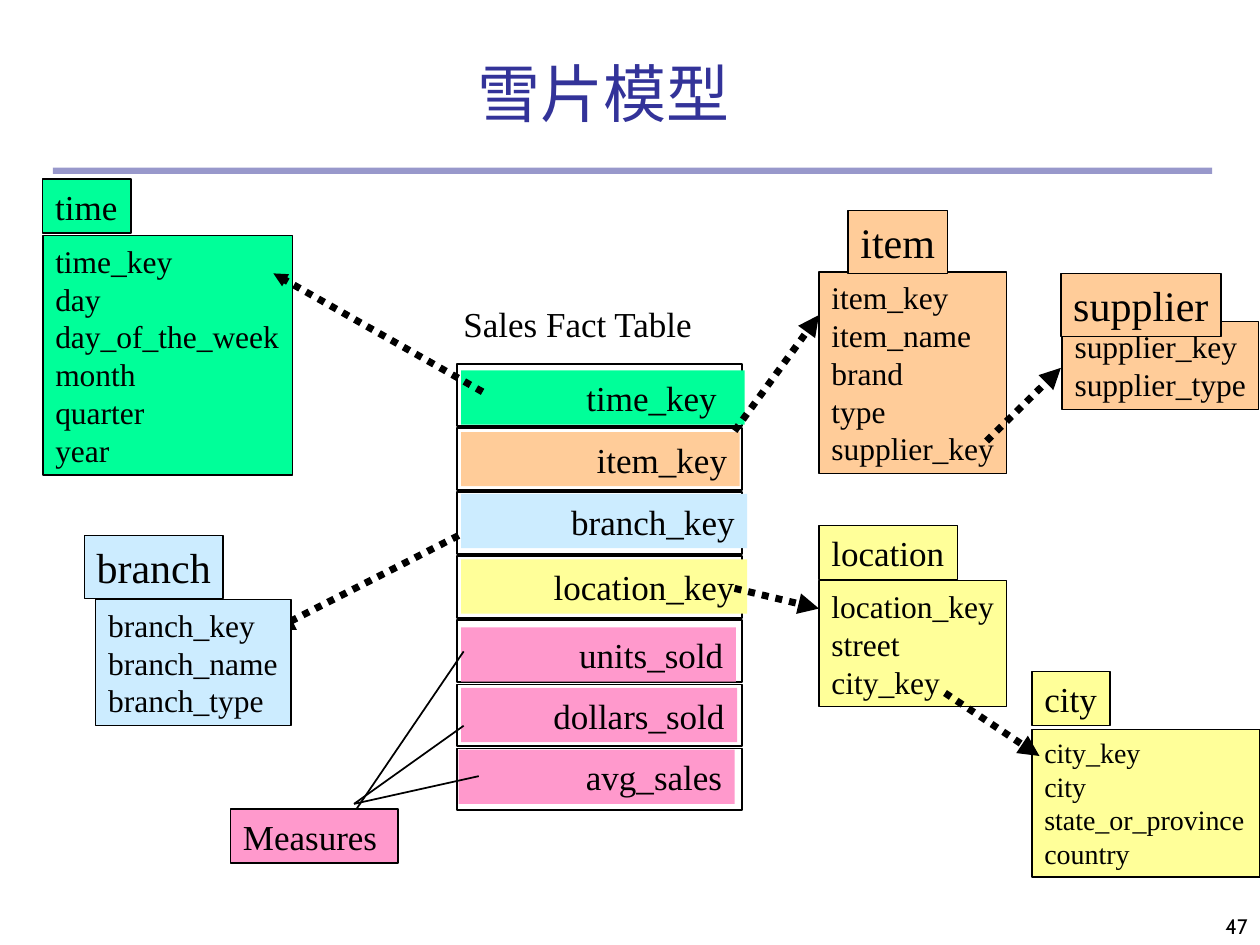
"""Build the snowflake schema slide: a sales fact table and its dimension tables."""
from dataclasses import dataclass

from lxml import etree
from pptx import Presentation
from pptx.dml.color import RGBColor
from pptx.enum.dml import MSO_LINE
from pptx.enum.shapes import MSO_CONNECTOR, MSO_SHAPE
from pptx.enum.text import MSO_ANCHOR, MSO_AUTO_SIZE, PP_ALIGN
from pptx.oxml.ns import qn
from pptx.util import Inches, Pt

LEFT, CENTER, RIGHT = PP_ALIGN.LEFT, PP_ALIGN.CENTER, PP_ALIGN.RIGHT
TOP, MIDDLE, BOTTOM = MSO_ANCHOR.TOP, MSO_ANCHOR.MIDDLE, MSO_ANCHOR.BOTTOM
NO_FIT = MSO_AUTO_SIZE.NONE
RECT, STRAIGHT, DOTTED = MSO_SHAPE.RECTANGLE, MSO_CONNECTOR.STRAIGHT, MSO_LINE.ROUND_DOT


@dataclass(frozen=True)
class Theme:
    """Fonts, colours and type sizes of the slide."""
    sans: str = "Cabin"
    serif: str = "Times New Roman"
    ink: str = "000000"
    accent: str = "333399"
    time: str = "00FF99"
    item: str = "FFCC99"
    branch: str = "CCECFF"
    location: str = "FFFF99"
    measure: str = "FF99CC"
    title: int = 36
    large: int = 24
    label: int = 20
    body: int = 18
    small: int = 16
    number: int = 12


T = Theme()


@dataclass(frozen=True)
class Entity:
    """A dimension table: its name box and its list of fields."""
    name: str
    fields: str
    color: str
    name_at: tuple
    fields_at: tuple
    name_size: int = T.label
    field_size: int = T.body
    align: PP_ALIGN = LEFT


@dataclass(frozen=True)
class FactRow:
    """One coloured strip of the fact table."""
    text: str
    color: str
    left: float
    top: float
    width: float
    inset: float = 0.1


@dataclass(frozen=True)
class Link:
    """A straight line between two points, with the size of its arrowhead."""
    start: tuple
    end: tuple
    head: str = "med"


TIME = Entity("time", "time_key\nday\nday_of_the_week\nmonth\nquarter\nyear", T.time,
              (0.34, 1.42, 0.7, 0.43), (0.34, 1.87, 1.98, 1.9))
LOCATION = Entity("location", "location_key\nstreet\ncity_key", T.location,
                  (6.5, 4.17, 1.1, 0.43), (6.5, 4.61, 1.49, 1))
ITEM = Entity("item", "item_key\nitem_name\nbrand\ntype\nsupplier_key", T.item,
              (6.73, 1.67, 0.79, 0.5), (6.5, 2.16, 1.49, 1.6), T.large, align=CENTER)
BRANCH = Entity("branch", "branch_key\nbranch_name\nbranch_type", T.branch,
                (0.67, 4.25, 1.1, 0.5), (0.76, 4.76, 1.55, 1), T.large, align=CENTER)
SUPPLIER = Entity("supplier", "supplier_key\nsupplier_type", T.item,
                  (8.42, 2.17, 1.27, 0.5), (8.43, 2.55, 1.56, 0.7), T.large, align=CENTER)
CITY = Entity("city", "city_key\ncity\nstate_or_province\ncountry", T.location,
              (8.19, 5.33, 0.62, 0.43), (8.19, 5.79, 1.81, 1.17), field_size=T.small)

FACT_ROWS = [
    FactRow("time_key", T.time, 3.66, 2.94, 2.25, 0.22),
    FactRow("item_key", T.item, 3.66, 3.43, 2.21),
    FactRow("branch_key", T.branch, 3.66, 3.92, 2.27),
    FactRow("location_key", T.location, 3.66, 4.44, 2.27),
    FactRow("units_sold", T.measure, 3.66, 4.98, 2.18),
    FactRow("dollars_sold", T.measure, 3.66, 5.46, 2.19),
    FactRow("avg_sales", T.measure, 3.64, 5.95, 2.19),
]
FACT_LEFT, FACT_TOP, FACT_WIDTH, FACT_HEIGHT = 3.63, 2.89, 2.26, 0.49
FACT_PITCH = 3.05 / 6
INSET, SLIM_INSET = 0.1, 0.02

MEASURE_LINES = [Link((2.83, 6.42), (3.68, 5.17)), Link((2.81, 6.38), (3.68, 5.76)),
                 Link((2.81, 6.38), (3.8, 6.16))]
FACT_ARROWS = [Link((3.64, 4.25), (2.17, 5)), Link((3.83, 3.11), (2.17, 2.17), "sm"),
               Link((5.83, 4.67), (6.5, 4.83)), Link((5.83, 3.42), (6.5, 2.5))]
SUPPLIER_ARROW = Link((7.83, 3.5), (8.42, 2.92))
CITY_ARROW = Link((7.5, 5.5), (8.25, 6))


def write(sp, text: str, *, size: int, font: str = T.serif, color: str = T.ink,
          align: PP_ALIGN = LEFT, anchor: MSO_ANCHOR = TOP,
          left: float = INSET, right: float = INSET) -> None:
    """Put text in a shape, one paragraph to a line, and format it."""
    tf = sp.text_frame
    tf.text = text
    tf.word_wrap, tf.auto_size, tf.vertical_anchor = True, NO_FIT, anchor
    tf.margin_left, tf.margin_right = Inches(left), Inches(right)
    tf.margin_top = tf.margin_bottom = Inches(0.05)
    for p in tf.paragraphs:
        p.alignment = align
        for r in p.runs:
            r.font.size, r.font.name = Pt(size), font
            r.font.color.rgb = RGBColor.from_string(color)


def add_box(shapes, at: tuple, fill: str | None = None, line: float = 0):
    """Add a rectangle with an optional fill and outline."""
    sp = shapes.add_shape(RECT, *map(Inches, at))
    sp.shadow.inherit = False
    if fill:
        sp.fill.solid()
        sp.fill.fore_color.rgb = RGBColor.from_string(fill)
    else:
        sp.fill.background()
    if line:
        sp.line.color.rgb = RGBColor.from_string(T.ink)
        sp.line.width = Pt(line)
    else:
        sp.line.fill.background()
    return sp


def add_entity(s, entity: Entity) -> None:
    """Add a dimension table as a group of its fields and its name."""
    shapes = s.shapes.add_group_shape().shapes
    write(add_box(shapes, entity.fields_at, entity.color, 0.75), entity.fields,
          size=entity.field_size, right=SLIM_INSET)
    write(add_box(shapes, entity.name_at, entity.color, 0.75), entity.name,
          size=entity.name_size, align=entity.align, anchor=MIDDLE,
          left=SLIM_INSET if entity.align == CENTER else INSET, right=SLIM_INSET)


def add_link(s, link: Link, arrow: bool = True) -> None:
    """Add a dotted arrow, or a thin plain line."""
    sp = s.shapes.add_connector(STRAIGHT, *map(Inches, link.start + link.end))
    sp.line.color.rgb = RGBColor.from_string(T.ink)
    sp.line.width = Pt(4 if arrow else 1)
    if arrow:
        sp.line.dash_style = DOTTED
        etree.SubElement(sp.line._get_or_add_ln(), qn("a:tailEnd"),
                         type="triangle", w=link.head, len=link.head)
    etree.SubElement(sp._element.spPr, qn("a:effectLst"))


def add_text(s, at: tuple, text: str, **style) -> None:
    """Add a text box."""
    write(s.shapes.add_textbox(*map(Inches, at)), text, **style)


def add_header(s) -> None:
    """Add the title, the translucent rule below it and the page number."""
    rule = add_box(s.shapes, (0.42, 1.33, 9.2, 0.05), T.accent)
    color = rule._element.spPr.find(qn("a:solidFill"))[0]
    etree.SubElement(color, qn("a:alpha"), val="50000")
    add_text(s, (7.92, 7, 2.08, 0.5), "47", size=T.number, font=T.sans,
             align=RIGHT, anchor=BOTTOM)
    title = s.shapes.title
    title.left, title.top, title.width, title.height = map(Inches, (0.54, 0.54, 8.5, 0.54))
    write(title, "雪片模型", size=T.title, font=T.sans, color=T.accent,
          align=CENTER, anchor=BOTTOM)


def add_fact_table(s) -> None:
    """Add the caption, the row frames and the coloured strips."""
    add_text(s, (3.58, 2.35, 2.04, 0.43), "Sales Fact Table", size=T.label, right=SLIM_INSET)
    for i, row in enumerate(FACT_ROWS):
        top = FACT_TOP + i * FACT_PITCH
        add_box(s.shapes, (FACT_LEFT, top, FACT_WIDTH, FACT_HEIGHT), line=1)
        sp = add_box(s.shapes, (row.left, row.top, row.width, 0.43), row.color)
        write(sp, row.text, size=T.label, align=RIGHT, right=row.inset)


def main() -> None:
    """Build and save the slide."""
    prs = Presentation()
    prs.slide_width, prs.slide_height = Inches(10), Inches(7.5)
    s = prs.slides.add_slide(prs.slide_layouts[5])
    add_header(s)
    add_entity(s, TIME)
    add_entity(s, LOCATION)
    add_fact_table(s)
    write(add_box(s.shapes, (1.83, 6.42, 1.33, 0.43), T.measure, 0.75), "Measures", size=T.label)
    for link in MEASURE_LINES:
        add_link(s, link, arrow=False)
    for link in FACT_ARROWS:
        add_link(s, link)
    for entity in (ITEM, BRANCH, SUPPLIER):
        add_entity(s, entity)
    add_link(s, SUPPLIER_ARROW)
    add_entity(s, CITY)
    add_link(s, CITY_ARROW)
    prs.save("out.pptx")


if __name__ == "__main__":
    main()
